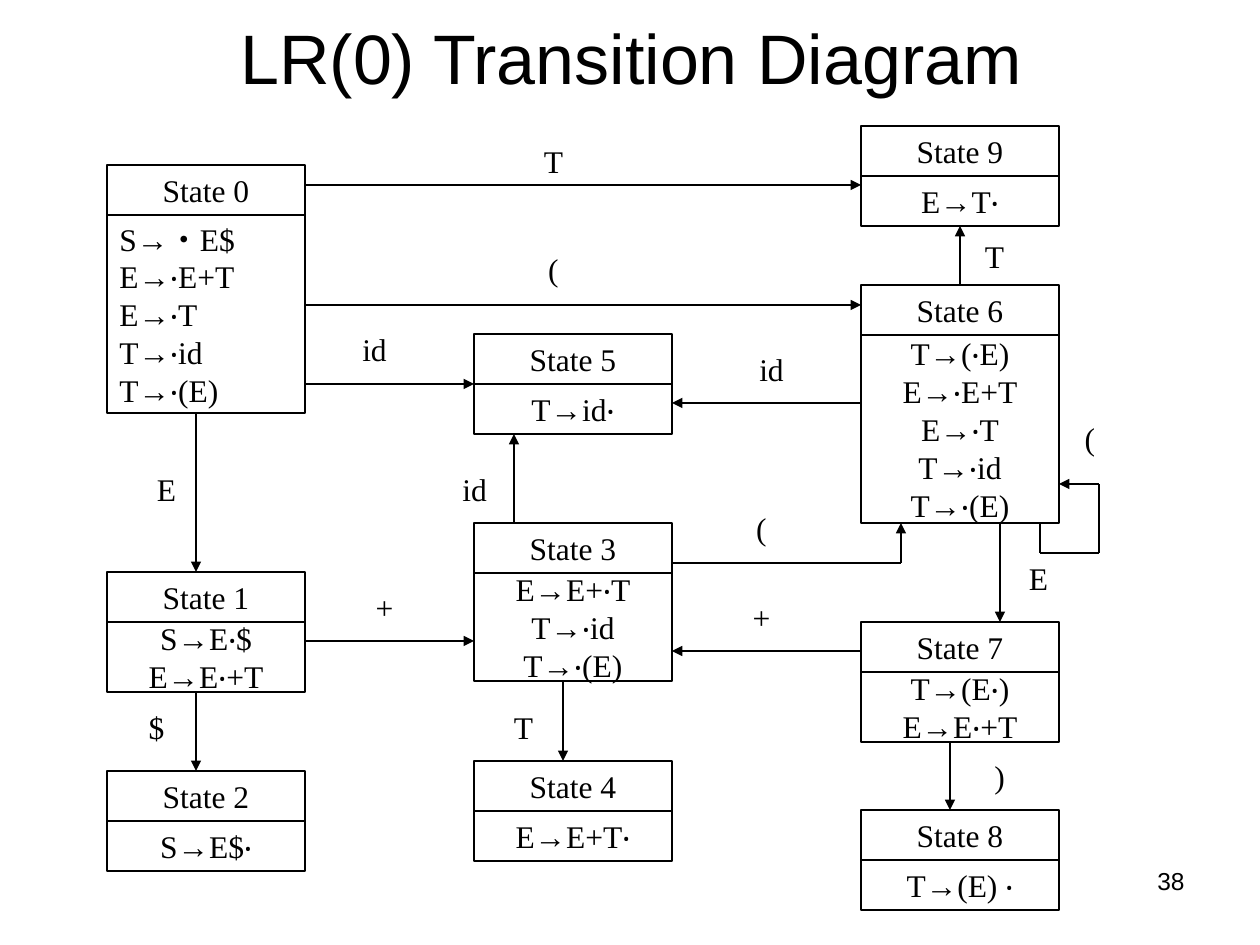
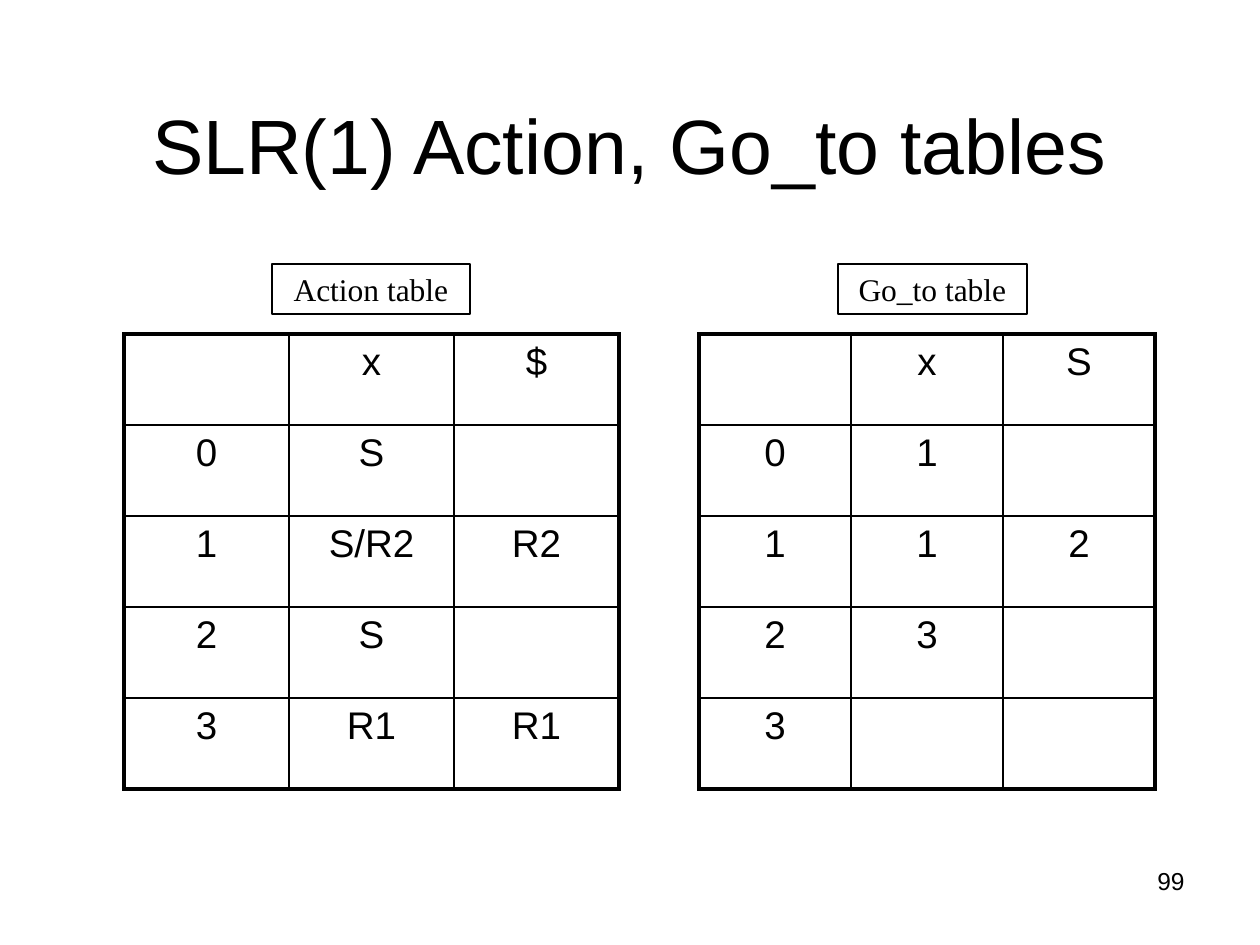
"""Build two slides on LR parsing: a state diagram and its parse tables."""
import itertools
from dataclasses import dataclass

import lxml.etree
import pptx
import pptx.dml.color
import pptx.enum.shapes
import pptx.enum.text
import pptx.oxml.ns
import pptx.util


@dataclass(frozen=True)
class Theme:
    ink: str = "000000"
    paper: str = "FFFFFF"
    sans: str = "Arial"
    serif: str = "Times New Roman"
    cjk: str = "Noto Sans CJK TC"
    body: int = 18
    cell: int = 22
    page: int = 14
    thin: float = 0.75
    grid: float = 1
    frame: float = 2.25


THEME = Theme()
WIDE, HEAD = 198, 50
LEFT, MID, RIGHT = 107, 474, 861

TITLES = [
    ("LR(0) Transition Diagram", 40, (64, 26, 1134, 79), "38"),
    ("SLR(1) Action, Go_to tables", 44, (63, 38, 1134, 158), "99"),
]

STATES = [
    ("State 0", LEFT, 165, 198,
     [("S→", "‧", "E$"), "E→‧E+T", "E→‧T", "T→‧id", "T→‧(E)"]),
    ("State 1", LEFT, 572, 70, ["S→E‧$", "E→E‧+T"]),
    ("State 2", LEFT, 771, 50, ["S→E$‧"]),
    ("State 3", MID, 523, 108, ["E→E+‧T", "T→‧id", "T→‧(E)"]),
    ("State 4", MID, 761, 50, ["E→E+T‧"]),
    ("State 5", MID, 334, 50, ["T→id‧"]),
    ("State 6", RIGHT, 285, 188,
     ["T→(‧E)", "E→‧E+T", "E→‧T", "T→‧id", "T→‧(E)"]),
    ("State 7", RIGHT, 622, 70, ["T→(E‧)", "E→E‧+T"]),
    ("State 8", RIGHT, 810, 50, ["T→(E) ‧"]),
    ("State 9", RIGHT, 126, 50, ["E→T‧"]),
]

MOVES = [
    ("T", (524, 136, 59, 50), [(305, 185), (861, 185)]),
    ("(", (524, 244, 59, 50), [(305, 305), (861, 305)]),
    ("id", (345, 324, 59, 50), [(305, 384), (474, 384)]),
    ("E", (137, 464, 59, 50), [(196, 413), (196, 572)]),
    ("+", (355, 582, 59, 50), [(305, 641), (474, 641)]),
    ("$", (127, 702, 59, 50), [(196, 692), (196, 771)]),
    ("id", (445, 464, 59, 50), [(514, 523), (514, 434)]),
    ("T", (494, 702, 59, 50), [(563, 681), (563, 761)]),
    ("(", (732, 503, 59, 50), [(672, 563), (901, 563), (901, 523)]),
    ("id", (742, 344, 59, 50), [(861, 403), (672, 403)]),
    ("+", (732, 592, 59, 50), [(861, 651), (672, 651)]),
    ("T", (970, 236, 49, 39), [(960, 285), (960, 226)]),
    ("E", (1009, 553, 59, 50), [(1000, 523), (1000, 622)]),
    (")", (970, 751, 59, 50), [(950, 742), (950, 810)]),
    ("(", (1070, 413, 40, 50),
     [(1040, 523), (1040, 553), (1099, 553), (1099, 484), (1059, 484)]),
]

TABLES = [
    ("Action table", (272, 264, 198, 50), 124, 165,
     [["", "x", "$"], ["0", "S", ""], ["1", "S/R2", "R2"],
      ["2", "S", ""], ["3", "R1", "R1"]]),
    ("Go_to table", (838, 264, 189, 50), 699, 152,
     [["", "x", "S"], ["0", "1", ""], ["1", "1", "2"],
      ["2", "3", ""], ["3", "", ""]]),
]
TOP, ROW = 334, 91


def px(*nums):
    return [pptx.util.Emu(round(n * 914400 / 126)) for n in nums]


def tint(code):
    return pptx.dml.color.RGBColor.from_string(code)


def node(root, tag, **attrs):
    return lxml.etree.SubElement(root, pptx.oxml.ns.qn(tag), **attrs)


def write(frame, lines, size=THEME.body, font=THEME.serif, align="CENTER",
          anchor="MIDDLE", wrap=False):
    frame.word_wrap = wrap
    frame.vertical_anchor = pptx.enum.text.MSO_ANCHOR[anchor]
    for i, line in enumerate(lines):
        para = frame.add_paragraph() if i else frame.paragraphs[0]
        para.alignment = pptx.enum.text.PP_ALIGN[align]
        for j, part in enumerate([line] if isinstance(line, str) else line):
            run = para.add_run()
            run.text = part
            run.font.size = pptx.util.Pt(size)
            run.font.color.rgb = tint(THEME.ink)
            run.font.name = THEME.cjk if j == 1 else font
            if j == 1:
                node(run.font._element, "a:ea", typeface=THEME.cjk)


def label(slide, area, lines, edge=THEME.ink, **style):
    kind = pptx.enum.shapes.MSO_SHAPE.RECTANGLE
    box = slide.shapes.add_shape(kind, *px(*area))
    box.shadow.inherit = False
    box.fill.solid()
    box.fill.fore_color.rgb = tint(THEME.paper)
    box.line.color.rgb = tint(edge)
    box.line.width = pptx.util.Pt(THEME.thin)
    write(box.text_frame, lines, **style)
    return box


def sites(box, x, y, w, h):
    ends = [(x + w / 2, y), (x, y + h / 2), (x + w / 2, y + h), (x + w, y + h / 2)]
    return {end: (box, i) for i, end in enumerate(ends)}


def link(slide, start, end, joins, arrow):
    kind = pptx.enum.shapes.MSO_CONNECTOR.STRAIGHT
    line = slide.shapes.add_connector(kind, *px(*start, *end))
    line.line.color.rgb = tint(THEME.ink)
    line.line.width = pptx.util.Pt(THEME.thin)
    if arrow:
        node(line.line._get_or_add_ln(), "a:tailEnd", type="triangle")
    node(line._element.spPr, "a:effectLst")
    if start in joins:
        line.begin_connect(*joins[start])
    if end in joins:
        line.end_connect(*joins[end])


def border(cell, widths):
    props = cell._tc.get_or_add_tcPr()
    for side, width in zip("LRTB", widths):
        edge = node(props, f"a:ln{side}", w=str(pptx.util.Pt(width)))
        node(node(edge, "a:solidFill"), "a:srgbClr", val=THEME.ink)


def grid(slide, left, wide, rows):
    down, over = len(rows), len(rows[0])
    area = px(left, TOP, wide * over, ROW * down)
    table = slide.shapes.add_table(down, over, *area).table
    table.first_row = table.horz_banding = False
    for col in table.columns:
        col.width = px(wide)[0]
    for r, c in itertools.product(range(down), range(over)):
        table.rows[r].height = px(ROW)[0]
        cell = table.cell(r, c)
        outer = (c == 0, c == over - 1, r == 0, r == down - 1)
        border(cell, [THEME.frame if out else THEME.grid for out in outer])
        cell.fill.background()
        if rows[r][c]:
            write(cell.text_frame, [rows[r][c]], size=THEME.cell,
                  font=THEME.sans, anchor="TOP", wrap=True)


def begin(deck, title, size, area, page):
    slide = deck.slides.add_slide(deck.slide_layouts[6])
    head = slide.shapes.add_textbox(*px(*area))
    write(head.text_frame, [title], size=size, font=THEME.sans,
          anchor="BOTTOM", wrap=True)
    foot = slide.shapes.add_textbox(*px(903, 860, 294, 66))
    write(foot.text_frame, [page], size=THEME.page, font=THEME.sans,
          align="RIGHT", anchor="TOP", wrap=True)
    return slide


def diagram(slide):
    joins = {}
    for name, x, y, tall, items in STATES:
        align = "LEFT" if name == "State 0" else "CENTER"
        for top, high, lines, side in [(y + HEAD, tall, items, align),
                                       (y, HEAD, [name], "CENTER")]:
            area = (x, top, WIDE, high)
            joins.update(sites(label(slide, area, lines, align=side), *area))
    for sign, area, _ in MOVES:
        label(slide, area, [sign], edge=THEME.paper)
    for _, _, route in MOVES:
        for start, end in itertools.pairwise(route):
            link(slide, start, end, joins, end == route[-1])


def tables(slide):
    for name, area, left, wide, rows in TABLES:
        grid(slide, left, wide, rows)
        label(slide, area, [name])


def main():
    deck = pptx.Presentation()
    deck.slide_width, deck.slide_height = px(1260, 945)
    for head, draw in zip(TITLES, (diagram, tables)):
        draw(begin(deck, *head))
    deck.save("out.pptx")


if __name__ == "__main__":
    main()
